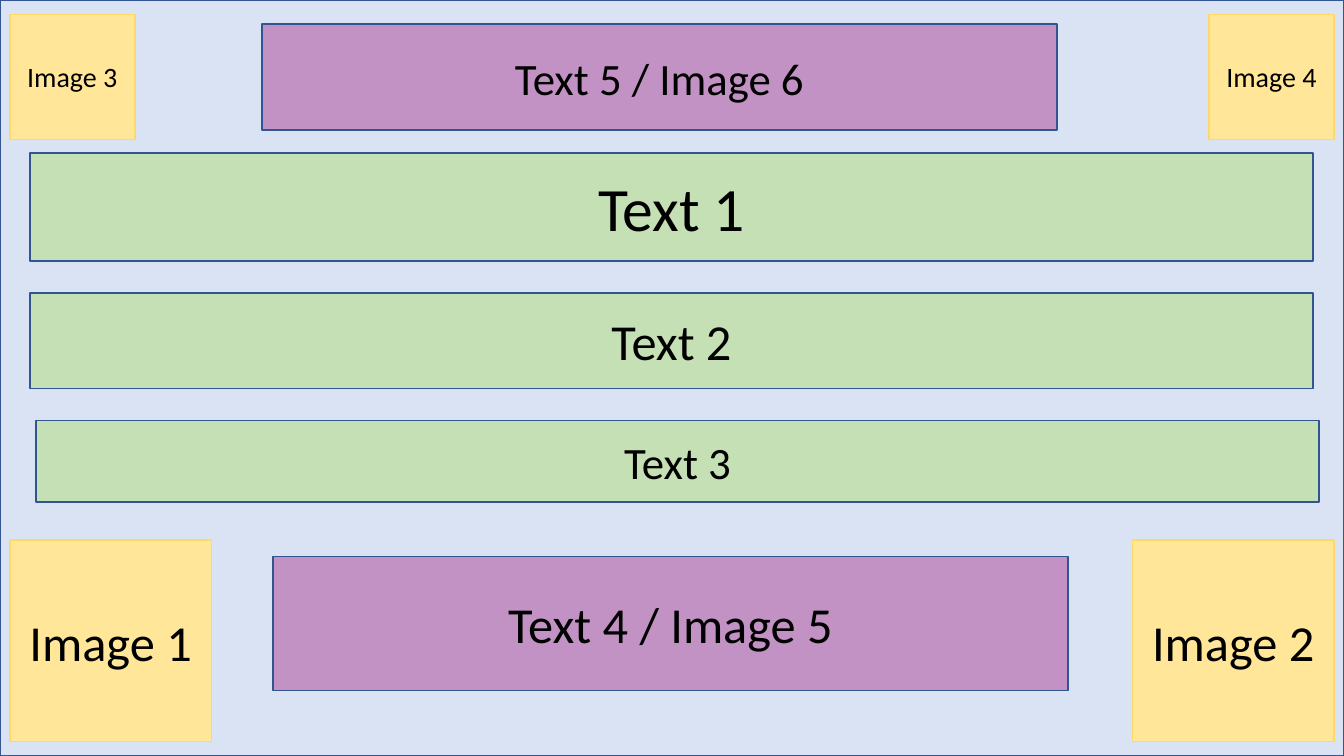
from pptx import Presentation
from pptx.dml.color import RGBColor
from pptx.enum.shapes import MSO_SHAPE
from pptx.enum.text import MSO_ANCHOR, PP_ALIGN
from pptx.util import Cm, Pt

COLORS = {
    "background": "DAE3F3",
    "image": "FFE699",
    "image_line": "FFD966",
    "text": "C5E0B4",
    "mixed": "C392C4",
    "line": "325491",
    "font": "000000",
}
FONT = "Calibri"
SLIDE_WIDTH, SLIDE_HEIGHT = 33.87, 19.05
MARGIN = 0.25
BAR_WIDTH, BAR_GAP = 32.33, 0.8
MIXED_WIDTH = 20.04


def color(name):
    return RGBColor.from_string(COLORS[name])


def add_box(slide, left, top, width, height, fill, line="line"):
    shape = slide.shapes.add_shape(
        MSO_SHAPE.RECTANGLE, Cm(left), Cm(top), Cm(width), Cm(height))
    shape.shadow.inherit = False
    shape.fill.solid()
    shape.fill.fore_color.rgb = color(fill)
    shape.line.color.rgb = color(line)
    shape.line.width = Pt(1)
    return shape


def set_label(shape, label, size):
    text_frame = shape.text_frame
    text_frame.text = label
    text_frame.word_wrap = True
    text_frame.vertical_anchor = MSO_ANCHOR.MIDDLE
    paragraph = text_frame.paragraphs[0]
    paragraph.alignment = PP_ALIGN.CENTER
    font = paragraph.runs[0].font
    font.name = FONT
    font.size = Pt(size)
    font.color.rgb = color("font")


def add_image_pair(slide, labels, top, side, size):
    """Place two square image areas at the left and right margins."""
    lefts = (MARGIN, SLIDE_WIDTH - MARGIN - side)
    for label, left in zip(labels, lefts):
        shape = add_box(slide, left, top, side, side, "image", "image_line")
        set_label(shape, label, size)


def add_text_bars(slide, top, bars):
    """Stack the wide text areas downwards with equal gaps."""
    for label, left, height, size in bars:
        shape = add_box(slide, left, top, BAR_WIDTH, height, "text")
        set_label(shape, label, size)
        top += height + BAR_GAP


def add_mixed_area(slide, label, left, top, height, size):
    shape = add_box(slide, left, top, MIXED_WIDTH, height, "mixed")
    set_label(shape, label, size)


def main():
    presentation = Presentation()
    presentation.slide_width = Cm(SLIDE_WIDTH)
    presentation.slide_height = Cm(SLIDE_HEIGHT)
    slide = presentation.slides.add_slide(presentation.slide_layouts[6])

    add_box(slide, 0, 0, SLIDE_WIDTH, SLIDE_HEIGHT, "background")
    add_image_pair(slide, ("Image 1", "Image 2"), top=13.61, side=5.08, size=36)
    add_image_pair(slide, ("Image 3", "Image 4"), top=0.36, side=3.15, size=20)
    add_text_bars(slide, 3.86, [
        ("Text 1", 0.76, 2.72, 44),
        ("Text 2", 0.76, 2.41, 36),
        ("Text 3", 0.91, 2.06, 32),
    ])
    add_mixed_area(slide, "Text 4 / Image 5", 6.88, 14.02, 3.38, 36)
    add_mixed_area(slide, "Text 5 / Image 6", 6.6, 0.61, 2.67, 32)

    presentation.save("out.pptx")


if __name__ == "__main__":
    main()
